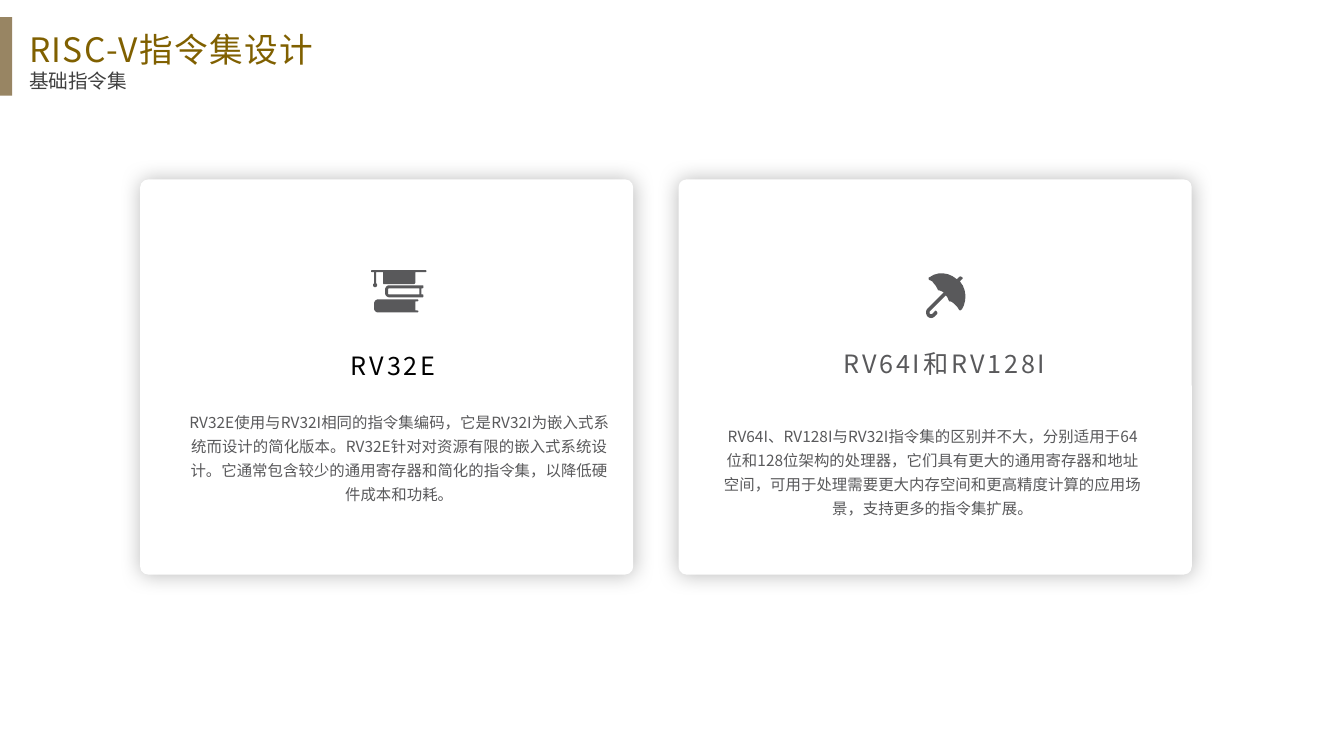
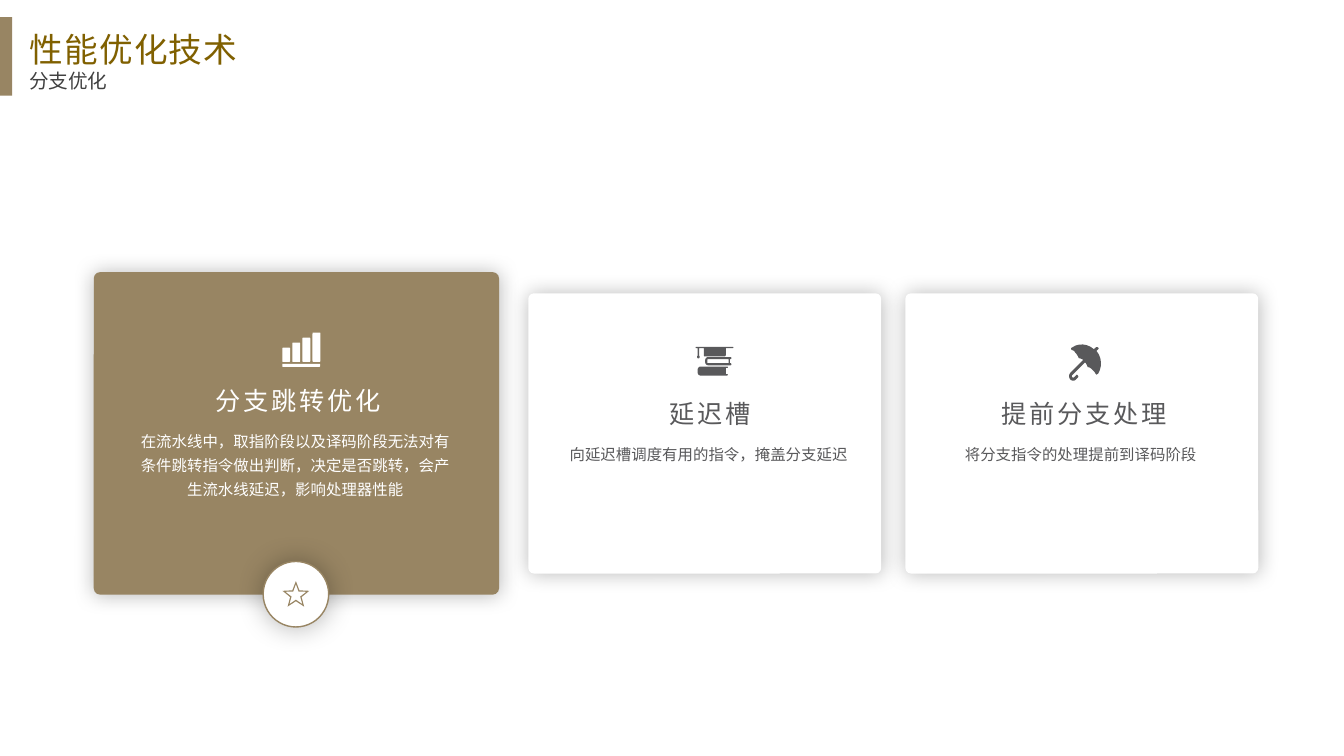
"""Build two slides of cards on RISC-V instruction sets and branch optimisation."""
import math

from lxml import etree
from pptx import Presentation
from pptx.dml.color import RGBColor
from pptx.enum import shapes, text
from pptx.oxml import ns
from pptx.util import Inches, Pt

FONT = "Noto Sans CJK SC"
COLORS = {"tan": "988563", "title": "806000", "sub": "404040",
          "grey": "59595B", "white": "FFFFFF", "black": "000000"}
KIND = shapes.MSO_SHAPE
ALIGN = text.PP_ALIGN


def pill(x, y, w, h, r):
    """Return the contour of a rounded bar."""
    a, b = x + w, y + h
    return [(x + r, y), (a - r, y), (a, y, a, y, a, y + r),
            (a, b - r), (a, b, a, b, a - r, b),
            (x + r, b), (x, b, x, b, x, b - r),
            (x, y + r), (x, y, x, y, x + r, y)]


def star(big, small):
    """Return the contour of a five-pointed star centred on the origin."""
    turns = [(big if i % 2 == 0 else small, i * math.pi / 5) for i in range(10)]
    return [(r * math.sin(t), -r * math.cos(t)) for r, t in turns]


UMBRELLA = [[
    (34, 10), (36, 8), (37, 8, 37, 6, 36, 6), (35, 5, 34, 5, 33, 6), (31, 8),
    (23, 1, 12, 0, 4, 6), (3, 6, 3, 7, 3, 7), (3, 8, 3, 8, 4, 9),
    (5, 9, 7, 10, 8, 12), (10, 14, 11, 16, 12, 18), (12, 18, 12, 19, 13, 19),
    (14, 19, 16, 20, 18, 21), (2, 37), (0, 39, 0, 43, 2, 45),
    (4, 47, 7, 47, 9, 45), (11, 43), (12, 42, 12, 41, 11, 40),
    (11, 39, 9, 39, 9, 40), (7, 42), (6, 43, 5, 43, 4, 42),
    (4, 41, 4, 40, 4, 40), (20, 24), (22, 26, 22, 27, 23, 29),
    (23, 29, 23, 30, 24, 30), (26, 30, 28, 32, 30, 34),
    (31, 35, 32, 36, 33, 38), (33, 38, 34, 39, 34, 39),
    (35, 39, 35, 38, 36, 38), (41, 30, 41, 18, 34, 10)]]
BOOKS = [
    [(47, 41), (47, 42, 46, 42, 45, 42), (7, 42), (5, 42, 3, 40, 3, 38),
     (3, 33), (3, 31, 5, 29, 7, 29), (45, 29), (46, 29, 47, 29, 47, 30),
     (47, 31, 46, 31, 45, 31), (44, 31), (44, 40), (45, 40),
     (46, 40, 47, 40, 47, 41)],
    [(52, 26), (52, 26, 52, 27, 51, 27), (18, 27), (16, 27, 14, 25, 14, 23),
     (14, 19), (14, 17, 16, 15, 18, 15), (51, 15), (52, 15, 52, 16, 52, 17),
     (52, 17, 52, 18, 51, 18), (50, 18), (50, 24), (51, 24),
     (52, 24, 52, 25, 52, 26)],
    [(18, 24), (48, 24), (48, 18), (18, 18), (17, 18, 17, 19, 17, 19),
     (17, 23), (17, 24, 17, 24, 18, 24)],
    [(54, 0), (2, 0), (1, 0, 0, 0, 0, 1), (0, 2, 1, 2, 2, 2), (3, 2), (3, 13),
     (2, 14, 2, 14, 2, 15), (2, 16, 3, 17, 4, 17), (5, 17, 6, 16, 6, 15),
     (6, 14, 6, 14, 5, 13), (5, 2), (12, 2), (12, 12),
     (12, 13, 12, 14, 13, 14), (42, 14), (43, 14, 44, 13, 44, 12), (44, 2),
     (54, 2), (54, 2, 55, 2, 55, 1), (55, 0, 54, 0, 54, 0)]]
BARS = [pill(0, 31, 37.5, 3, 1.4)] + [
    pill(10 * i, 15 - 5 * i, 7.8, 14 + 5 * i, 1.5) for i in range(4)]
STAR = [star(14, 6), star(11, 4.5)]

SLIDES = [
    {"title": "RISC-V指令集设计", "sub": "基础指令集", "cards": [
        {"box": (1.39, 1.78, 4.89, 3.92), "fill": "white", "ink": "grey",
         "icon": (BOOKS, 3.68, 2.68, 1),
         "head": ("RV32E", (1.7, 3.37, 4.4, 0.65), "black"),
         "body": ("RV32E使用与RV32I相同的指令集编码，它是RV32I为嵌入式系统而设计的"
                  "简化版本。RV32E针对对资源有限的嵌入式系统设计。它通常包含较少的"
                  "通用寄存器和简化的指令集，以降低硬件成本和功耗。",
                  (1.76, 3.99, 4.4, 1.13))},
        {"box": (6.73, 1.78, 5.09, 3.92), "fill": "white", "ink": "grey",
         "icon": (UMBRELLA, 9.18, 2.69, 1),
         "head": ("RV64I和RV128I", (7.52, 3.35, 3.69, 0.57), "grey"),
         "body": ("RV64I、RV128I与RV32I指令集的区别并不大，分别适用于64位和128位"
                  "架构的处理器，它们具有更大的通用寄存器和地址空间，可用于处理需要"
                  "更大内存空间和更高精度计算的应用场景，支持更多的指令集扩展。",
                  (7.06, 4.13, 4.38, 0.99))}]},
    {"title": "性能优化技术", "sub": "分支优化", "badge": (2.61, 5.57, 0.65, 0.65),
     "cards": [
        {"box": (0.93, 2.7, 4.02, 3.2), "fill": "tan", "ink": "white",
         "icon": (BARS, 2.8, 3.3, 1),
         "head": ("分支跳转优化", (1.39, 3.71, 3.14, 0.43), "white"),
         "body": ("在流水线中，取指阶段以及译码阶段无法对有条件跳转指令做出判断，"
                  "决定是否跳转，会产生流水线延迟，影响处理器性能",
                  (1.25, 4.18, 3.36, 0.8))},
        {"box": (5.24, 2.91, 3.5, 2.78), "fill": "white", "ink": "grey",
         "icon": (BOOKS, 6.9, 3.44, 0.68),
         "head": ("延迟槽", (5.47, 3.84, 3.14, 0.43), "grey"),
         "body": ("向延迟槽调度有用的指令，掩盖分支延迟", (5.46, 4.31, 3.14, 0.32))},
        {"box": (8.98, 2.91, 3.5, 2.78), "fill": "white", "ink": "grey",
         "icon": (UMBRELLA, 10.6, 3.4, 0.81),
         "head": ("提前分支处理", (9.18, 3.84, 3.14, 0.43), "grey"),
         "body": ("将分支指令的处理提前到译码阶段", (9.15, 4.31, 3.14, 0.32))}]},
]


def color(name):
    """Look up a named colour."""
    return RGBColor.from_string(COLORS[name])


def paint(shape, fill, line=None):
    """Set a flat fill and an optional outline."""
    shape.shadow.inherit = False
    shape.fill.solid()
    shape.fill.fore_color.rgb = color(fill)
    if line:
        shape.line.color.rgb = color(line)
        shape.line.width = Pt(1)
    else:
        shape.line.fill.background()


def block(slide, kind, box, fill, line=None):
    """Add a preset shape."""
    shape = slide.shapes.add_shape(kind, *map(Inches, box))
    paint(shape, fill, line)
    return shape


def glow(shape, blur, alpha):
    """Add a soft black shadow with no offset."""
    fx = shape._element.spPr.find(ns.qn("a:effectLst"))
    cast = etree.SubElement(fx, ns.qn("a:outerShdw"), blurRad=str(Pt(blur)),
                            dist="0", dir="0", algn="ctr", rotWithShape="0")
    tint = etree.SubElement(cast, ns.qn("a:srgbClr"), val=COLORS["black"])
    etree.SubElement(tint, ns.qn("a:alpha"), val=str(alpha * 1000))


def write(slide, words, box, size, ink, align=ALIGN.LEFT, lead=1.0, track=0):
    """Add a wrapped text box of one paragraph."""
    frame = slide.shapes.add_textbox(*map(Inches, box)).text_frame
    frame.word_wrap = True
    para = frame.paragraphs[0]
    para.text = words
    para.alignment = align
    para.line_spacing = lead
    font = para.font
    font.size = Pt(size)
    font.name = FONT
    font.color.rgb = color(ink)
    props = para._p.pPr.find(ns.qn("a:defRPr"))
    etree.SubElement(props, ns.qn("a:ea"), typeface=FONT)
    if track:
        props.set("spc", str(track * 100))


def flat(path, steps=6):
    """Turn lines and cubic curves into points."""
    points = [path[0]]
    for part in path[1:]:
        if len(part) == 2:
            points.append(part)
            continue
        knots = [points[-1], part[:2], part[2:4], part[4:]]
        for i in range(1, steps + 1):
            t = i / steps
            mix = [math.comb(3, k) * t**k * (1 - t)**(3 - k) for k in range(4)]
            points.append(tuple(sum(m * p[d] for m, p in zip(mix, knots))
                                for d in (0, 1)))
    return points


def draw(slide, paths, x, y, scale, ink):
    """Add an icon whose paths are in hundredths of an inch."""
    pen = None
    for path in paths:
        points = [(Inches(x + a * scale / 100), Inches(y + b * scale / 100))
                  for a, b in flat(path)]
        if pen is None:
            pen = slide.shapes.build_freeform(*points[0])
        else:
            pen.move_to(*points[0])
        pen.add_line_segments(points[1:], close=True)
    paint(pen.convert_to_shape(), ink)


def header(slide, title, sub):
    """Add the side band, title and subtitle."""
    block(slide, KIND.RECTANGLE, (0, 0.17, 0.12, 0.78), "tan")
    write(slide, title, (0.19, 0.16, 4.14, 0.55), 24, "title", lead=1.2, track=1)
    write(slide, sub, (0.19, 0.63, 4.41, 0.34), 14, "sub")


def card(slide, item):
    """Add one card with its icon, heading and body."""
    panel = block(slide, KIND.ROUNDED_RECTANGLE, item["box"], item["fill"])
    panel.adjustments[0] = 0.02
    glow(panel, 15, 27)
    draw(slide, *item["icon"], item["ink"])
    head, spot, ink = item["head"]
    write(slide, head, spot, 18, ink, ALIGN.CENTER, 1.2, 2)
    body, spot = item["body"]
    write(slide, body, spot, 11, item["ink"], ALIGN.CENTER, 1.3)


def badge(slide, box):
    """Add the round star badge."""
    disc = block(slide, KIND.OVAL, box, "white", "tan")
    glow(disc, 20, 30)
    x, y, w, h = box
    draw(slide, STAR, x + w / 2, y + h / 2 + 0.01, 1, "tan")


def main():
    """Build and save the presentation."""
    deck = Presentation()
    deck.slide_width, deck.slide_height = Inches(13.33), Inches(7.5)
    for page in SLIDES:
        slide = deck.slides.add_slide(deck.slide_layouts[6])
        header(slide, page["title"], page["sub"])
        for item in page["cards"]:
            card(slide, item)
        if "badge" in page:
            badge(slide, page["badge"])
    deck.save("out.pptx")


if __name__ == "__main__":
    main()
